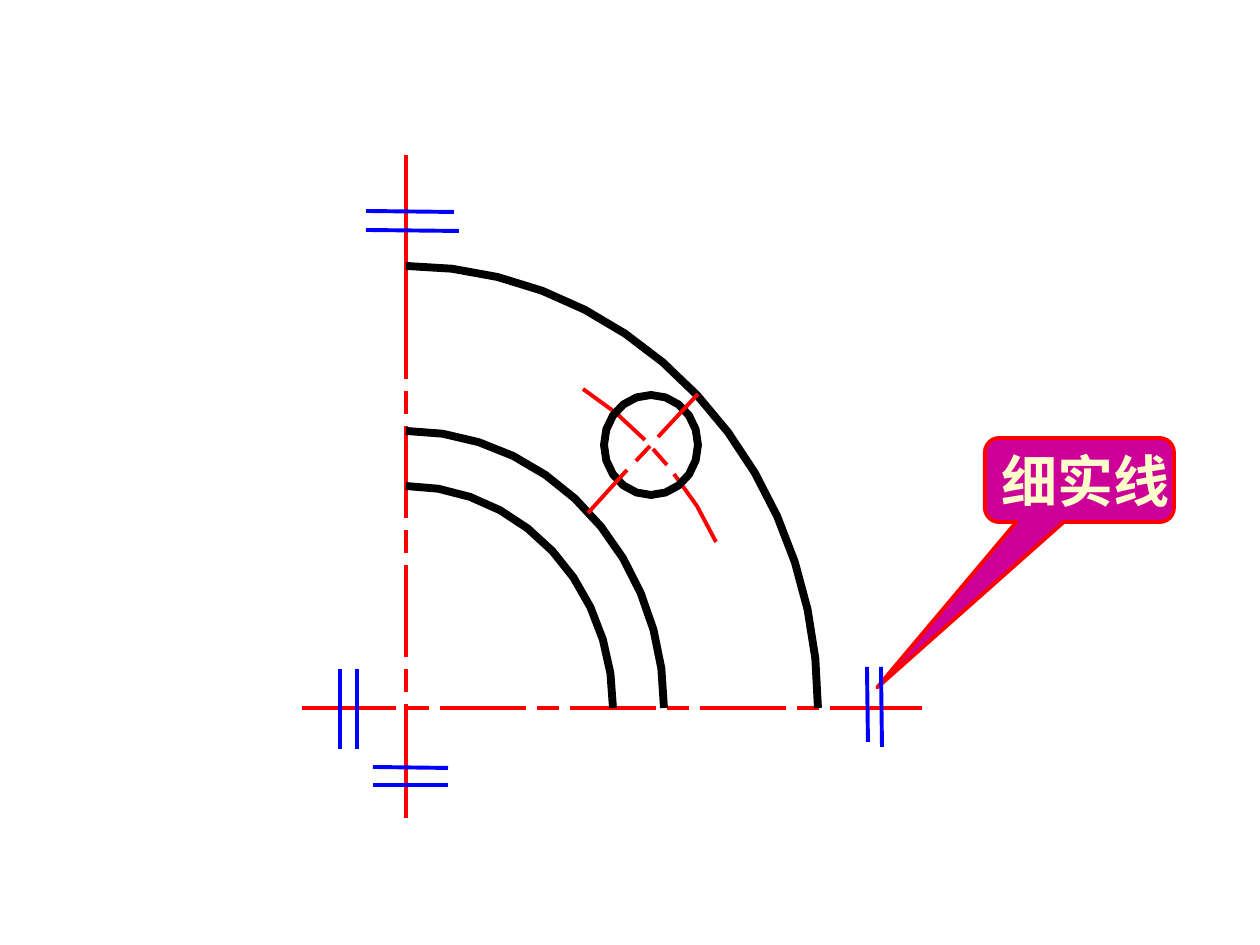
from dataclasses import dataclass
from math import cos, radians, sin

from lxml import etree
from pptx import Presentation
from pptx.dml.color import RGBColor
from pptx.enum import shapes, text
from pptx.oxml.ns import qn
from pptx.shapes.shapetree import GroupShapes
from pptx.util import Emu, Pt

EMU_PER_PX = 914400 / 126
RED, BLUE, BLACK = "FF0000", "0000FF", "000000"
PURPLE, CREAM = "CC0099", "FFFFCC"
THIN, THICK = 2.25, 4.5
CENTER_X, CENTER_Y = 406, 708

Point = tuple[float, float]


@dataclass
class Arc:
    """Elliptical outline drawn with straight segments, angles in degrees."""
    rx: int
    ry: int
    segments: int
    sweep: int = 90
    cx: int = CENTER_X
    cy: int = CENTER_Y

    def points(self) -> list[Point]:
        angles = [radians(self.sweep * i / self.segments) for i in range(self.segments + 1)]
        return [(self.cx + self.rx * cos(a), self.cy - self.ry * sin(a)) for a in angles]


@dataclass
class Chain:
    """Dash-dot pattern along one axis; the end dashes reach start and end."""
    start: int
    end: int
    first_dot: int
    period: int
    dot: int
    gap: int
    dots: int

    def spans(self) -> list[tuple[int, int]]:
        spans, dash_start = [], self.start
        for i in range(self.dots):
            dot_start = self.first_dot + i * self.period
            dot_end = dot_start + self.dot
            spans += [(dash_start, dot_start - self.gap), (dot_start, dot_end)]
            dash_start = dot_end + self.gap
        return spans + [(dash_start, self.end)]


HORIZONTAL_AXIS = Chain(302, 922, 407, 130, 22, 11, 4)
VERTICAL_AXIS = Chain(266, 818, 391, 139, 23, 12, 3)
AXIS_TOP = 155

OUTER_EDGE = Arc(412, 442, 14)
MIDDLE_EDGE = Arc(258, 277, 11)
INNER_EDGE = Arc(207, 222, 10)
HOLE = Arc(47, 50, 20, sweep=360, cx=651, cy=445)

BOLT_CIRCLE = [
    [(716, 542), (697, 506), (674, 474)],
    [(667, 465), (653, 449)],
    [(645, 440), (616, 413), (583, 389)],
]
HOLE_RADIAL = [
    [(588, 513), (627, 470)],
    [(636, 461), (650, 446)],
    [(658, 437), (698, 394)],
]
SYMMETRY_MARKS = [
    [(340, 669), (340, 749)], [(357, 669), (357, 749)],
    [(373, 767), (448, 768)], [(373, 785), (448, 785)],
    [(366, 211), (454, 212)], [(366, 230), (459, 231)],
    [(867, 667), (868, 742)], [(881, 667), (882, 747)],
]


def px(length: float) -> Emu:
    return Emu(round(length * EMU_PER_PX))


def rgb(value: str) -> RGBColor:
    return RGBColor.from_string(value)


def style_line(shape, color: str, width: float) -> None:
    shape.line.color.rgb = rgb(color)
    shape.line.width = Pt(width)


def draw_stroke(drawing: GroupShapes, points: list[Point], color: str, width: float) -> None:
    """Draw a connector for two points, an open outline for more."""
    corners = [(px(x), px(y)) for x, y in points]
    if len(corners) == 2:
        stroke = drawing.add_connector(shapes.MSO_CONNECTOR.STRAIGHT, *corners[0], *corners[1])
        etree.SubElement(stroke.line._get_or_add_ln().getparent(), qn("a:effectLst"))
    else:
        builder = drawing.build_freeform(*corners[0])
        builder.add_line_segments(corners[1:], close=False)
        stroke = builder.convert_to_shape()
        stroke.fill.background()
        stroke.shadow.inherit = False
    style_line(stroke, color, width)


def draw_callout(slide, label: str) -> None:
    callout = slide.shapes.add_shape(
        shapes.MSO_SHAPE.ROUNDED_RECTANGULAR_CALLOUT, px(985), px(438), px(189), px(84))
    for i, adjustment in enumerate((-1.07, 2.47, 0.17)):
        callout.adjustments[i] = adjustment
    callout.shadow.inherit = False
    callout.fill.solid()
    callout.fill.fore_color.rgb = rgb(PURPLE)
    style_line(callout, RED, THIN)

    frame = callout.text_frame
    frame.word_wrap = False
    frame.vertical_anchor = text.MSO_ANCHOR.MIDDLE
    paragraph = frame.paragraphs[0]
    paragraph.alignment = text.PP_ALIGN.LEFT
    run = paragraph.add_run()
    run.text = label
    for name, value in {"name": "Times New Roman", "size": Pt(32), "bold": True}.items():
        setattr(run.font, name, value)
    run.font.color.rgb = rgb(CREAM)


def draw_flange(drawing: GroupShapes) -> None:
    axes = [[(a, CENTER_Y), (b, CENTER_Y)] for a, b in HORIZONTAL_AXIS.spans()]
    vertical = [(AXIS_TOP, VERTICAL_AXIS.start)] + VERTICAL_AXIS.spans()
    axes += [[(CENTER_X, a), (CENTER_X, b)] for a, b in vertical]
    edges = [arc.points() for arc in (OUTER_EDGE, HOLE, MIDDLE_EDGE, INNER_EDGE)]

    layers = [
        (axes, RED, THIN),
        (edges[:1], BLACK, THICK),
        (BOLT_CIRCLE, RED, THIN),
        (edges[1:], BLACK, THICK),
        (HOLE_RADIAL, RED, THIN),
        (SYMMETRY_MARKS, BLUE, THIN),
    ]
    for strokes, color, width in layers:
        for points in strokes:
            draw_stroke(drawing, points, color, width)


def main() -> None:
    deck = Presentation()
    deck.slide_width, deck.slide_height = px(1260), px(945)
    slide = deck.slides.add_slide(deck.slide_layouts[6])
    draw_callout(slide, "细实线")
    draw_flange(slide.shapes.add_group_shape().shapes)
    deck.save("out.pptx")


if __name__ == "__main__":
    main()
